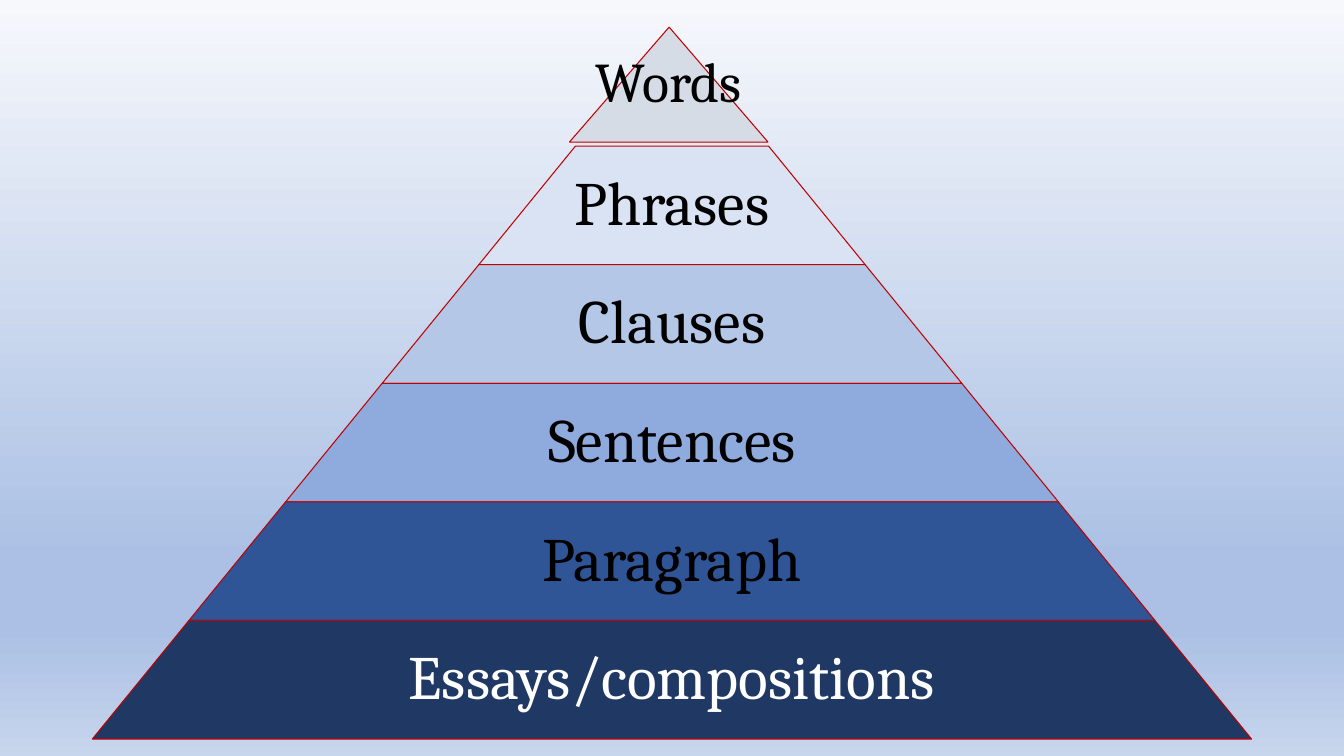
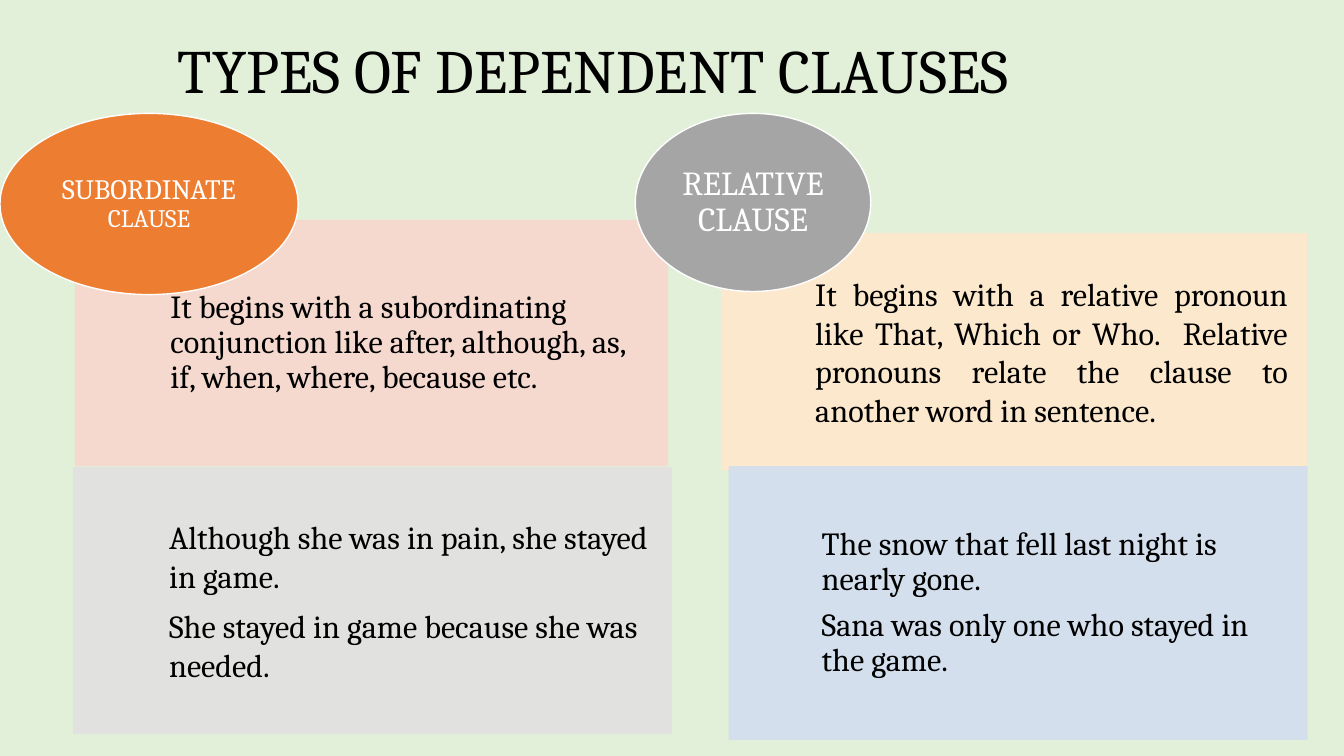
"""Build two grammar slides: a language pyramid and the types of dependent clauses."""
from collections import namedtuple
from lxml import etree
from pptx import Presentation
from pptx import util as u
from pptx.dml.color import RGBColor
from pptx.enum import shapes, text
from pptx.oxml.ns import qn

Theme = namedtuple("Theme", "font ink pale edge mint sky tiers big tip body")
look = Theme(
    font="Cambria", ink="000000", pale="FFFFFF", edge="C00000", mint="E2F0D9",
    sky=[(0, "F6F8FC"), (74, "ABC0E4"), (83, "ABC0E4"), (100, "C7D5ED")],
    tiers=["DAE3F3", "B4C7E7", "8FAADC", "2F5597", "203864"],
    big=44, tip=40, body=23)
align = text.PP_ALIGN


def paint(shape, fill, edge, width):
    """Set fill and outline, and drop the shadow."""
    shape.shadow.inherit = False
    shape.fill.solid()
    shape.fill.fore_color.rgb = RGBColor.from_string(fill)
    shape.line.color.rgb = RGBColor.from_string(edge)
    shape.line.width = u.Pt(width)


def write(shape, lines, color, side=align.CENTER, space=0.9, pad=(0, 0, 0, 0)):
    """Fill a shape with paragraphs, each a list of (words, size) runs."""
    frame = shape.text_frame
    frame.word_wrap = True
    frame.vertical_anchor = text.MSO_ANCHOR.MIDDLE
    frame.margin_left, frame.margin_top, frame.margin_right, frame.margin_bottom = map(u.Pt, pad)
    for i, line in enumerate(lines):
        para = frame.add_paragraph() if i else frame.paragraphs[0]
        para.alignment = side
        para.line_spacing = space
        para.space_after = u.Pt(0.35 * line[0][1])
        for words, size in line:
            run = para.add_run()
            run.text = words
            run.font.name = look.font
            run.font.size = u.Pt(size)
            run.font.color.rgb = RGBColor.from_string(color)


deck = Presentation()
deck.slide_width, deck.slide_height = u.Pt(960), u.Pt(540)
blank = deck.slide_layouts[6]

slide = deck.slides.add_slide(blank)
back = slide.background.fill
back.gradient()
back.gradient_angle = 270
stops = slide.element.find(".//" + qn("a:gsLst"))
for stop in list(stops):
    stops.remove(stop)
for place, color in look.sky:
    stop = etree.SubElement(stops, qn("a:gs"), pos=str(place * 1000))
    etree.SubElement(stop, qn("a:srgbClr"), val=color)

mid, top, step, half = 480, 104.4, 84.7, 69
tiers = [("Words", look.tip, "D6DCE5", look.ink,
          [(406.8, 101.5), (478, 19.4), (548.6, 101.5)])]
names = ["Phrases", "Clauses", "Sentences", "Paragraph", "Essays/compositions"]
for i, (name, fill) in enumerate(zip(names, look.tiers)):
    high, low = top + i * step, top + (i + 1) * step
    near, far = half * (i + 1), half * (i + 2)
    ink = look.pale if name == names[-1] else look.ink
    tiers.append((name, look.big, fill, ink,
                  [(mid - far, low), (mid - near, high), (mid + near, high), (mid + far, low)]))
for name, size, fill, ink, spots in tiers:
    spots = [(u.Pt(x), u.Pt(y)) for x, y in spots]
    form = slide.shapes.build_freeform(*spots[0], scale=1.0)
    form.add_line_segments(spots[1:], close=True)
    tier = form.convert_to_shape()
    paint(tier, fill, look.edge, 0.75)
    write(tier, [[(name, size)]], ink, pad=(4, 4, 4, 4))

slide = deck.slides.add_slide(blank)
slide.background.fill.solid()
slide.background.fill.fore_color.rgb = RGBColor.from_string(look.mint)
title = slide.shapes.add_textbox(*map(u.Pt, (120, 0, 828, 104.4)))
write(title, [[("TYPES OF DEPENDENT CLAUSES", look.big)]], look.ink, align.LEFT,
      pad=(7.2, 3.6, 7.2, 3.6))

groups = [
    ([((54, 157.5, 422.8, 175), "F8D7CE", 67.7, align.LEFT, 0.9,
       ["It begins with a subordinating conjunction like after, although, as, "
        "if, when, where, because etc."]),
      ((52.6, 334.2, 427, 189.6), "E1E1E1", 68.2, align.LEFT, 1.0,
       ["Although she was in pain, she stayed in game.",
        "She stayed in game because she was needed."])],
     (0, 81, 213, 129.4), "ED7D31", [("SUBORDINATE", 20), (" CLAUSE", 18)]),
    ([((515.5, 167, 417.8, 168.5), "FFE8CC", 66.8, align.JUSTIFY, 1.0,
       ["It begins with a relative pronoun like That, Which or Who.  Relative "
        "pronouns relate the clause to another word in sentence."]),
      ((521, 333.5, 412.6, 194.5), "D2DEEF", 66, align.LEFT, 0.9,
       ["The snow that fell last night is nearly gone.",
        "Sana was only one who stayed in the game."])],
     (453.8, 81, 168.2, 127.2), "A5A5A5", [("RELATIVE CLAUSE", 24)]),
]
for panels, spot, fill, head in groups:
    for box, tint, inset, side, space, lines in panels:
        panel = slide.shapes.add_shape(shapes.MSO_SHAPE.RECTANGLE, *map(u.Pt, box))
        paint(panel, tint, tint, 1)
        for color in panel.element.spPr.iter(qn("a:srgbClr")):
            etree.SubElement(color, qn("a:alpha"), val="90000")
        write(panel, [[(line, look.body)] for line in lines], look.ink, side, space,
              (inset, 13, 13, 13))
    oval = slide.shapes.add_shape(shapes.MSO_SHAPE.OVAL, *map(u.Pt, spot))
    paint(oval, fill, look.pale, 1)
    write(oval, [head], look.pale)

deck.save("out.pptx")
